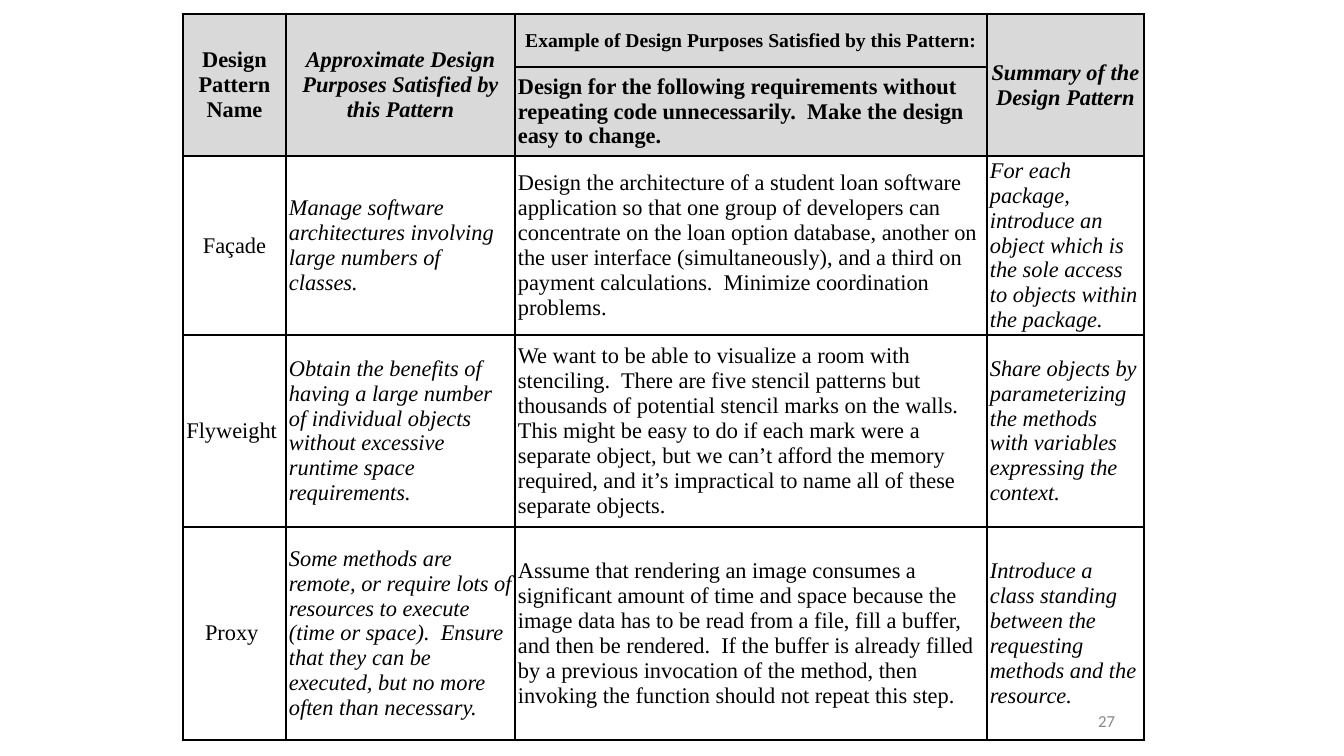
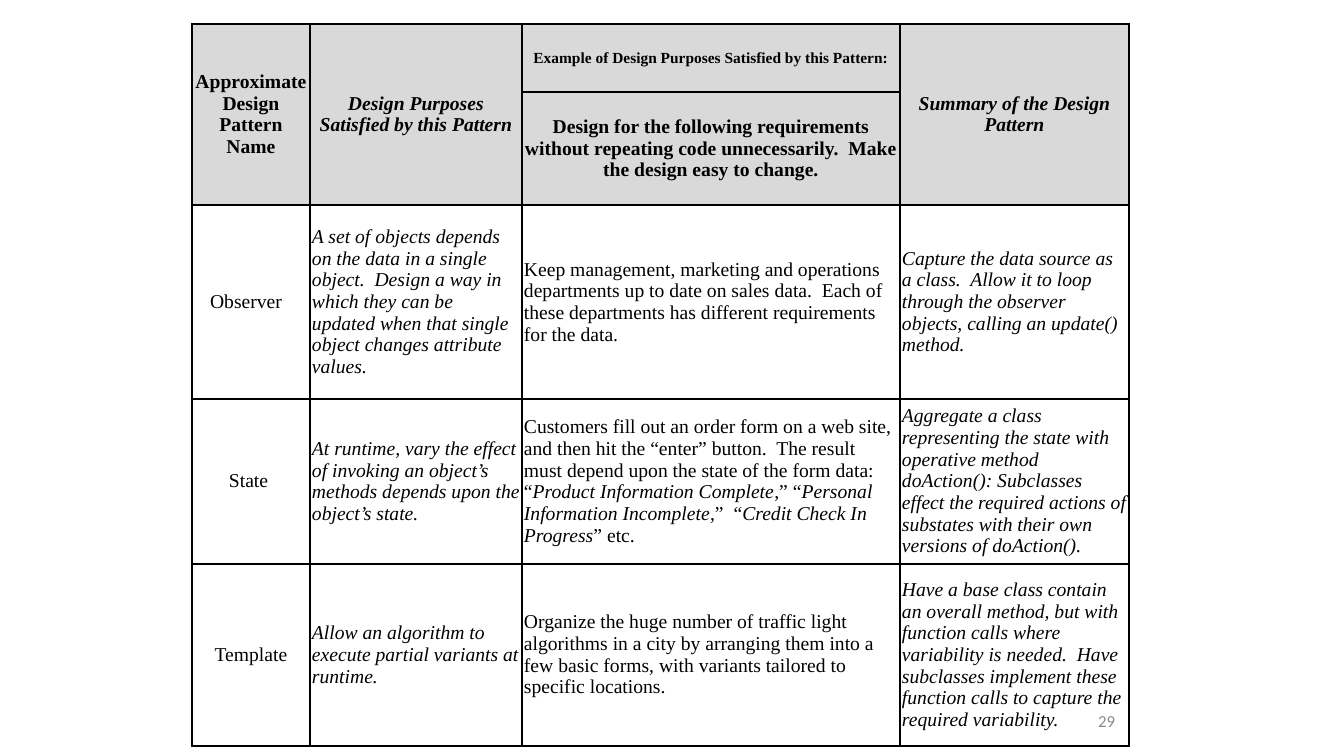
from itertools import accumulate

from lxml.etree import SubElement
from pptx import Presentation
from pptx.dml.color import RGBColor
from pptx.enum.text import MSO_ANCHOR, PP_ALIGN
from pptx.oxml.ns import qn
from pptx.util import Emu, Pt

PX = 914400 / 100.8
BLACK = RGBColor(0x00, 0x00, 0x00)
HEADER_GRAY = RGBColor(0xD9, 0xD9, 0xD9)
NUMBER_GRAY = RGBColor(0x89, 0x89, 0x89)
TABLE_FONT = "Times New Roman"
NUMBER_FONT = "Calibri"
BORDER_WIDTH = Pt(1.5)
HEADER_ROWS = 2
NAME_COLUMN, PURPOSE_COLUMN, EXAMPLE_COLUMN, SUMMARY_COLUMN = range(4)
ITALIC_COLUMNS = (PURPOSE_COLUMN, SUMMARY_COLUMN)
NUMBER_BOX = (890, 701, 235, 40)

EXAMPLE_HEADING = "Example of Design Purposes Satisfied by this Pattern:"
REQUIREMENT_HEADING = (
    "Design for the following requirements without repeating code unnecessarily.  "
    "Make the design easy to change."
)
SUMMARY_HEADING = "Summary of the Design Pattern"

# In cell text, a line break starts a paragraph and asterisks switch italics.
PATTERN_SLIDES = [
    {
        "number": "27",
        "origin": (183, 14),
        "columns": (103, 229, 472, 157),
        "rows": (53, 89, 179, 192, 213),
        "margin": 3,
        "size": 16,
        "example_size": 14,
        "requirement_align": PP_ALIGN.LEFT,
        "cells": [
            ("Design Pattern\nName",
             "Approximate Design Purposes Satisfied by this Pattern",
             EXAMPLE_HEADING, SUMMARY_HEADING),
            ("", "", REQUIREMENT_HEADING, ""),
            ("Façade",
             "Manage software architectures involving large numbers of classes.",
             "Design the architecture of a student loan software application so that one "
             "group of developers can concentrate on the loan option database, another on "
             "the user interface (simultaneously), and a third on payment calculations.  "
             "Minimize coordination problems.",
             "For each package, introduce an object which is the sole access to objects "
             "within the package."),
            ("Flyweight ",
             "Obtain the benefits of having a large number of individual objects without "
             "excessive runtime space requirements.",
             "We want to be able to visualize a room with stenciling.  There are five "
             "stencil patterns but thousands of potential stencil marks on the walls.  "
             "This might be easy to do if each mark were a separate object, but we can’t "
             "afford the memory required, and it’s impractical to name all of these "
             "separate objects.",
             "Share objects by parameterizing the methods with variables expressing the "
             "context."),
            ("Proxy ",
             "Some methods are remote, or require lots of resources to execute (time or "
             "space).  Ensure that they can be executed, but no more often than necessary.",
             "Assume that rendering an image consumes a significant amount of time and "
             "space because the image data has to be read from a file, fill a buffer, and "
             "then be rendered.  If the buffer is already filled by a previous invocation "
             "of the method, then invoking the function should not repeat this step.",
             "Introduce a class standing between the requesting methods and the resource."),
        ],
    },
    {
        "number": "29",
        "origin": (192, 24),
        "columns": (118, 212, 378, 229),
        "rows": (68, 113, 194, 151, 182),
        "margin": 2,
        "size": 14,
        "example_size": 11,
        "requirement_align": PP_ALIGN.CENTER,
        "cells": [
            ("Approximate\nDesign Pattern\nName",
             "Design Purposes Satisfied by this Pattern",
             EXAMPLE_HEADING, SUMMARY_HEADING),
            ("", "", REQUIREMENT_HEADING, ""),
            ("Observer  ",
             "A set of objects depends on the data in a single object.  Design a way in "
             "which they can be updated when that single object changes attribute values.",
             "Keep management, marketing and operations departments up to date on sales "
             "data.  Each of these departments has different requirements for the data.",
             "Capture the data source as a class.  Allow it to loop through the observer "
             "objects, calling an update() method."),
            ("State ",
             "At runtime, vary the effect of invoking an object’s methods depends upon the "
             "object’s state.",
             "Customers fill out an order form on a web site, and then hit the “enter” "
             "button.  The result must depend upon the state of the form data: "
             "“*Product Information Complete*,” “*Personal Information Incomplete*,”  "
             "“*Credit Check In Progress*” etc.",
             "Aggregate a class representing the state with operative method doAction(): "
             "Subclasses effect the required actions of substates with their own versions "
             "of doAction()."),
            ("Template",
             "Allow an algorithm to execute partial variants at runtime.",
             "Organize the huge number of traffic light algorithms in a city by arranging "
             "them into a few basic forms, with variants tailored to specific locations.",
             "Have a base class contain an overall method, but with function calls where "
             "variability is needed.  Have subclasses implement these function calls to "
             "capture the required variability."),
        ],
    },
]


def px(length):
    return Emu(round(length * PX))


def style_font(font, name, size, color):
    font.name = name
    font.size = Pt(size)
    font.color.rgb = color


def draw_borders(cell):
    properties = cell._tc.get_or_add_tcPr()
    for position, side in enumerate(("lnL", "lnR", "lnT", "lnB")):
        line = SubElement(properties, qn(f"a:{side}"), w=str(BORDER_WIDTH))
        fill = SubElement(line, qn("a:solidFill"))
        SubElement(fill, qn("a:srgbClr"), val=str(BLACK))
        properties.insert(position, line)


def write_cell(cell, text, size, align, bold, italic):
    frame = cell.text_frame
    for index, line in enumerate(text.split("\n")):
        paragraph = frame.add_paragraph() if index else frame.paragraphs[0]
        paragraph.alignment = align
        style_font(paragraph.font, TABLE_FONT, size, BLACK)
        paragraph.font.bold = bold
        paragraph.font.italic = italic
        for part, words in enumerate(line.split("*")):
            run = paragraph.add_run()
            run.text = words
            if part % 2:
                run.font.italic = True


def format_cell(cell, margin, is_header):
    cell.margin_left = cell.margin_right = px(margin)
    cell.margin_top = cell.margin_bottom = 0
    cell.vertical_anchor = MSO_ANCHOR.MIDDLE
    if is_header:
        cell.fill.solid()
        cell.fill.fore_color.rgb = HEADER_GRAY
    else:
        cell.fill.background()
    draw_borders(cell)


def cell_alignment(row, column, requirement_align):
    if row == 1 and column == EXAMPLE_COLUMN:
        return requirement_align
    if row < HEADER_ROWS or column == NAME_COLUMN:
        return PP_ALIGN.CENTER
    return PP_ALIGN.LEFT


def add_grid(slide, origin, columns, rows):
    """Add an unstyled table whose track edges fall on whole pixels."""
    left, top = origin
    table = slide.shapes.add_table(
        len(rows), len(columns), px(left), px(top), px(sum(columns)), px(sum(rows))
    ).table
    table.first_row = table.horz_banding = False
    for column, width in zip(table.columns, columns):
        column.width = px(width)
    for row, height in zip(table.rows, rows):
        row.height = px(height)
    return table


def add_pattern_table(slide, content):
    table = add_grid(slide, content["origin"], content["columns"], content["rows"])
    for column in (NAME_COLUMN, PURPOSE_COLUMN, SUMMARY_COLUMN):
        table.cell(0, column).merge(table.cell(HEADER_ROWS - 1, column))
    for row, texts in enumerate(content["cells"]):
        is_header = row < HEADER_ROWS
        for column, text in enumerate(texts):
            cell = table.cell(row, column)
            format_cell(cell, content["margin"], is_header)
            if cell.is_spanned:
                continue
            is_example_heading = row == 0 and column == EXAMPLE_COLUMN
            size = content["example_size" if is_example_heading else "size"]
            align = cell_alignment(row, column, content["requirement_align"])
            write_cell(cell, text, size, align, is_header, column in ITALIC_COLUMNS)


def add_slide_number(slide, number, box):
    shape = slide.shapes.add_textbox(*map(px, box))
    frame = shape.text_frame
    frame.word_wrap = True
    frame.vertical_anchor = MSO_ANCHOR.MIDDLE
    paragraph = frame.paragraphs[0]
    paragraph.text = number
    paragraph.alignment = PP_ALIGN.RIGHT
    style_font(paragraph.font, NUMBER_FONT, 12, NUMBER_GRAY)


def add_pattern_slide(presentation, content):
    blank_layout = presentation.slide_layouts[6]
    slide = presentation.slides.add_slide(blank_layout)
    add_pattern_table(slide, content)
    add_slide_number(slide, content["number"], NUMBER_BOX)


def main():
    presentation = Presentation()
    presentation.slide_width = px(1344)
    presentation.slide_height = px(756)
    for content in PATTERN_SLIDES:
        add_pattern_slide(presentation, content)
    presentation.save("out.pptx")


if __name__ == "__main__":
    main()
